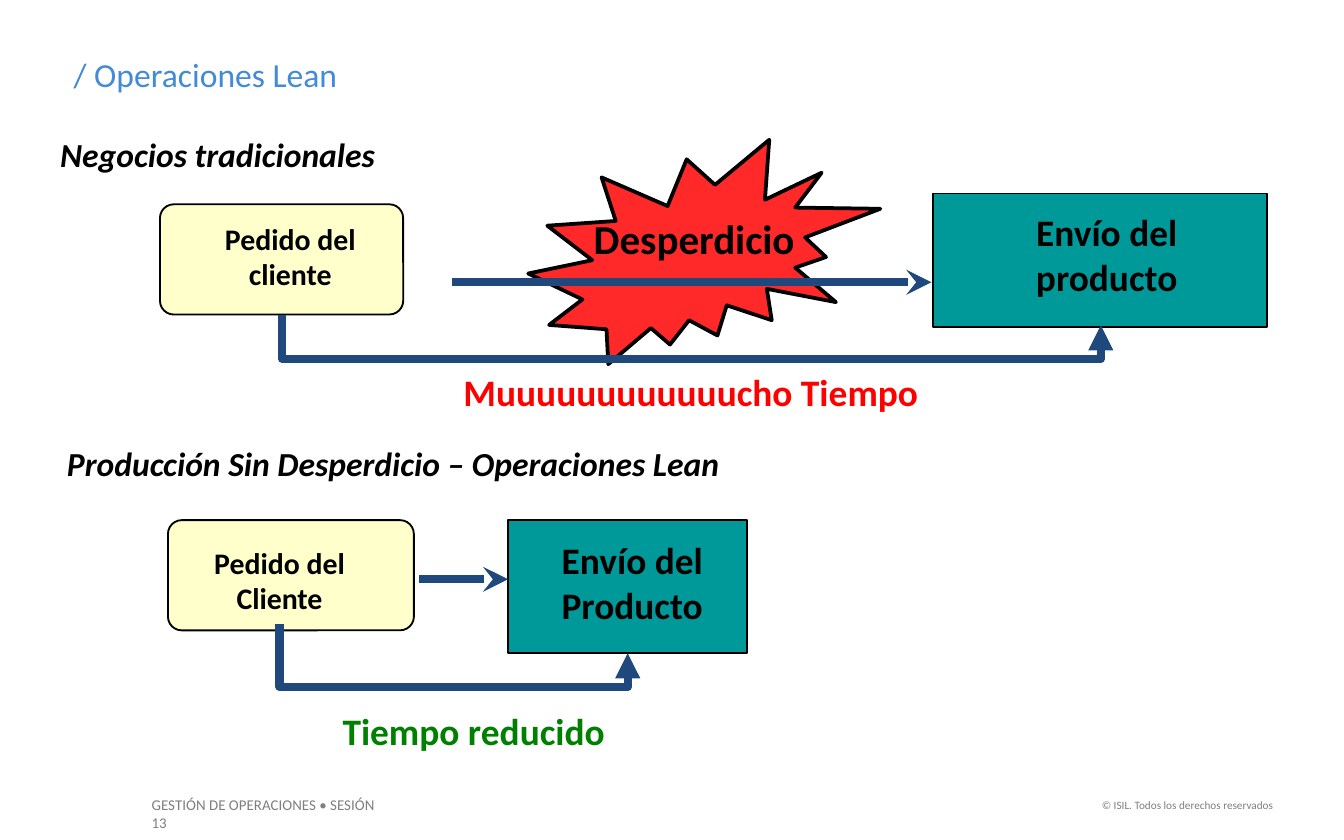
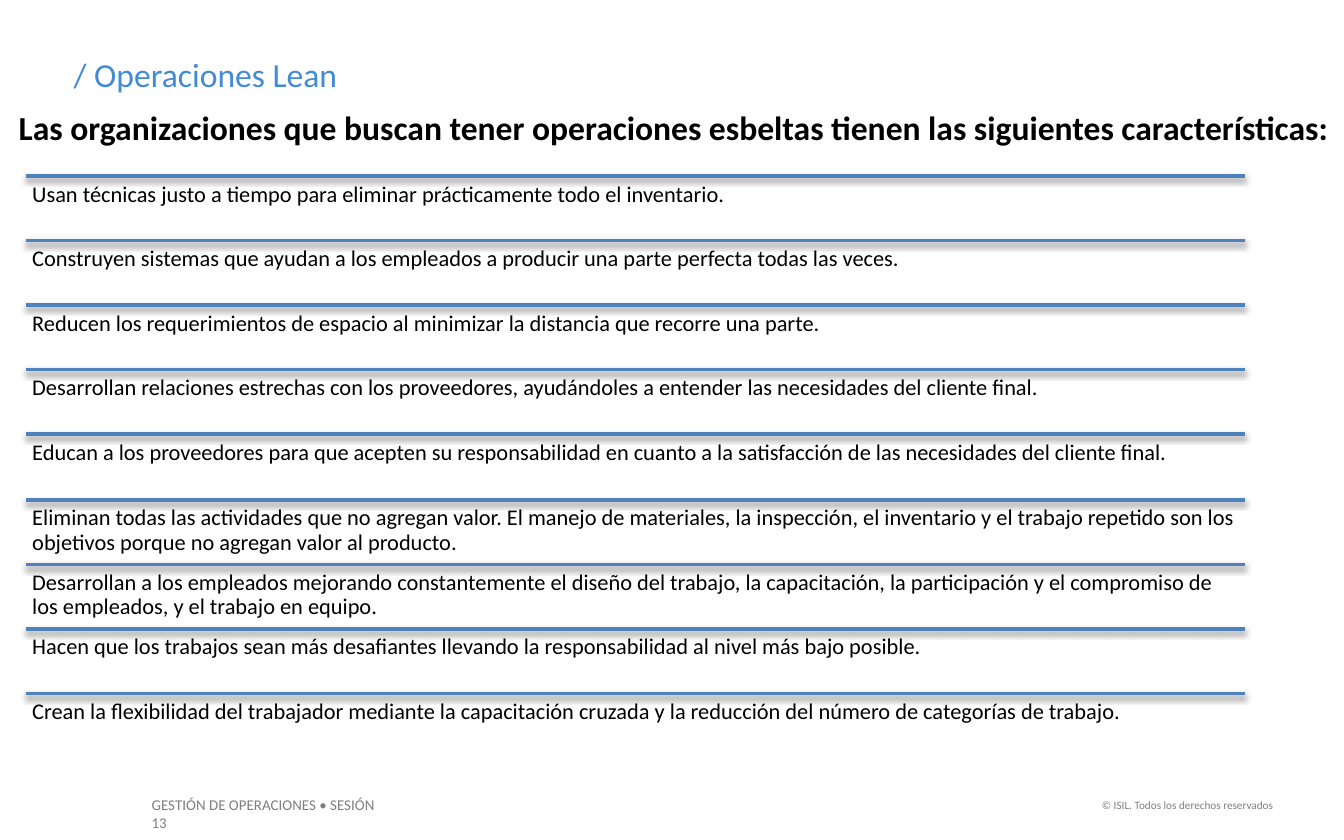
from dataclasses import dataclass

from lxml.etree import SubElement
from pptx import Presentation
from pptx.dml.color import RGBColor
from pptx.enum.shapes import MSO_CONNECTOR, MSO_SHAPE
from pptx.enum.text import MSO_AUTO_SIZE, PP_ALIGN
from pptx.oxml.ns import qn
from pptx.util import Pt

PX = 9144
FONT = "Calibri"
COLORS = {
    "ink": "000000", "title": "438AD7", "footer": "7F7F7F", "arrow": "1F497D",
    "rule": "4F81BD", "order": "FFFFCC", "shipment": "009999",
    "waste": "FF0000", "slow": "FF0000", "fast": "008000",
}
TRAITS = [
    "Usan técnicas justo a tiempo para eliminar prácticamente todo el inventario.",
    "Construyen sistemas que ayudan a los empleados a producir una parte perfecta todas las veces.",
    "Reducen los requerimientos de espacio al minimizar la distancia que recorre una parte.",
    "Desarrollan relaciones estrechas con los proveedores, ayudándoles a entender las "
    "necesidades del cliente final.",
    "Educan a los proveedores para que acepten su responsabilidad en cuanto a la "
    "satisfacción de las necesidades del cliente final.",
    "Eliminan todas las actividades que no agregan valor. El manejo de materiales, la "
    "inspección, el inventario y el trabajo repetido son los objetivos porque no agregan "
    "valor al producto.",
    "Desarrollan a los empleados mejorando constantemente el diseño del trabajo, la "
    "capacitación, la participación y el compromiso de los empleados, y el trabajo en equipo.",
    "Hacen que los trabajos sean más desafiantes llevando la responsabilidad al nivel más "
    "bajo posible.",
    "Crean la flexibilidad del trabajador mediante la capacitación cruzada y la reducción "
    "del número de categorías de trabajo.",
]


@dataclass
class Flow:
    """Wording and places, relative to the region, of one order-to-shipment flow."""
    heading: str
    heading_width: int
    order: list
    order_box: tuple
    order_label: tuple
    shipment: list
    shipment_box: tuple
    shipment_label: tuple
    arrow: tuple
    elbow: tuple
    elbow_drop: int
    time: str
    time_box: tuple
    time_color: str


TRADITIONAL = Flow(
    "Negocios tradicionales", 300,
    ["Pedido del", "cliente"], (84, 57, 181, 82), (90, 64, 182, 63),
    ["Envío del", "producto"], (659, 49, 249, 99), (717, 56, 143, 76),
    (301, 115, 658, 115), (175, 139, 784, 147), 33,
    "Muuuuuuuuuuuucho Tiempo", (300, 175, 361, 43), "slow")
LEAN = Flow(
    "Producción Sin Desperdicio – Operaciones Lean", 549,
    ["Pedido del", "Cliente"], (85, 62, 183, 82), (102, 75, 132, 63),
    ["Envío del", "Producto"], (338, 62, 178, 99), (359, 70, 143, 76),
    (272, 106, 338, 106), (168, 139, 427, 161), 47,
    "Tiempo reducido", (205, 197, 222, 43), "fast")


def emu(*lengths):
    """Turn px into EMU."""
    return [round(length * PX) for length in lengths]


def rgb(name):
    """Look up a named colour."""
    return RGBColor.from_string(COLORS[name])


def shift(box, left, top):
    """Move a box or a pair of points by the origin of its region."""
    return box[0] + left, box[1] + top, box[2], box[3]


def write(slide, lines, box, size, color="ink", bold=False, italic=False, align=None):
    """Add wrapped text with one paragraph for each line."""
    label = slide.shapes.add_textbox(*emu(*box))
    frame = label.text_frame
    frame.word_wrap = True
    frame.auto_size = MSO_AUTO_SIZE.SHAPE_TO_FIT_TEXT
    frame.text = "\n".join(lines)
    for paragraph in frame.paragraphs:
        paragraph.alignment = align
        font = paragraph.font
        font.name, font.size, font.bold, font.italic = FONT, Pt(size), bold, italic
        font.color.rgb = rgb(color)
    return label


def block(slide, preset, box, fill, line_width=1):
    """Add a filled preset shape with a black outline."""
    shape = slide.shapes.add_shape(preset, *emu(*box))
    shape.shadow.inherit = False
    shape.fill.solid()
    shape.fill.fore_color.rgb = rgb(fill)
    shape.line.color.rgb = rgb("ink")
    shape.line.width = Pt(line_width)
    return shape


def connect(slide, kind, ends, color, width, head=None):
    """Add a connector without theme effects and return it with its effect list."""
    connector = slide.shapes.add_connector(kind, *emu(*ends))
    connector.line.color.rgb = rgb(color)
    connector.line.width = Pt(width)
    properties = connector._element.spPr
    if head:
        SubElement(properties.find(qn("a:ln")), qn("a:tailEnd"), type=head)
    return connector, SubElement(properties, qn("a:effectLst"))


def elbow_arrow(slide, ends, drop):
    """Lead an arrow down by drop, across, and up to its end."""
    x1, y1, x2, y2 = ends
    width, height = y2 - y1, x2 - x1
    left, top = (x1 + x2 - width) / 2, (y1 + y2 - height) / 2
    turned = (left, top, left + width, top + height)
    connector, _ = connect(slide, MSO_CONNECTOR.ELBOW, turned, "arrow", 4.5, "triangle")
    properties = connector._element.spPr
    frame = properties.find(qn("a:xfrm"))
    frame.set("rot", "16200000")
    frame.set("flipH", "1")
    adjustments = properties.find(qn("a:prstGeom")).find(qn("a:avLst"))
    SubElement(adjustments, qn("a:gd"), name="adj1",
               fmla=f"val {round(drop / width * 100000)}")


def rule(slide, ends):
    """Add a horizontal rule with a soft shadow below."""
    _, effects = connect(slide, MSO_CONNECTOR.STRAIGHT, ends, "rule", 2)
    shadow = SubElement(effects, qn("a:outerShdw"), blurRad="40000", dist="20000",
                        dir="5400000", rotWithShape="0")
    tint = SubElement(shadow, qn("a:srgbClr"), val=COLORS["ink"])
    SubElement(tint, qn("a:alpha"), val="38000")


def add_slide(deck):
    """Start a slide with the shared footer and title."""
    slide = deck.slides.add_slide(deck.slide_layouts[6])
    write(slide, ["GESTIÓN DE OPERACIONES • SESIÓN 13"], (103, 587, 199, 24), 8, "footer")
    write(slide, ["© ISIL. Todos los derechos reservados"], (803, 589, 154, 20), 6,
          "footer", align=PP_ALIGN.RIGHT)
    write(slide, ["/ Operaciones Lean"], (45, 35, 788, 40), 18, "title")
    return slide


def waste_burst(slide, left, top, width, height):
    """Draw the burst that stands for waste."""
    burst = block(slide, MSO_SHAPE.EXPLOSION2, (left, top, width, height), "waste", 2)
    tint = burst._element.spPr.find(qn("a:solidFill")).find(qn("a:srgbClr"))
    SubElement(tint, qn("a:alpha"), val="84000")
    write(slide, ["Desperdicio"], (left + 20, top + 50, 207, 46), 22, bold=True,
          align=PP_ALIGN.CENTER)


def flow_region(slide, flow, left, top):
    """Draw a flow from the order to the shipment."""
    def place(box):
        return shift(box, left, top)

    def span(ends):
        return (*place(ends)[:2], ends[2] + left, ends[3] + top)

    write(slide, [flow.heading], (left, top, flow.heading_width, 40), 18,
          bold=True, italic=True)
    order = block(slide, MSO_SHAPE.ROUNDED_RECTANGLE, place(flow.order_box), "order")
    order.adjustments[0] = 0.125
    write(slide, flow.order, place(flow.order_label), 16, bold=True, align=PP_ALIGN.CENTER)
    block(slide, MSO_SHAPE.RECTANGLE, place(flow.shipment_box), "shipment")
    shipment = write(slide, flow.shipment, place(flow.shipment_label), 20, bold=True,
                     align=PP_ALIGN.CENTER)
    shipment.fill.solid()
    shipment.fill.fore_color.rgb = rgb("shipment")
    connect(slide, MSO_CONNECTOR.STRAIGHT, span(flow.arrow), "arrow", 4.5, "stealth")
    write(slide, [flow.time], place(flow.time_box), 20, flow.time_color, bold=True)
    elbow_arrow(slide, span(flow.elbow), flow.elbow_drop)


def trait_list(slide, left, top, width, height):
    """Stack the traits in equal rows, each under a rule."""
    pitch = height / len(TRAITS)
    for index, trait in enumerate(TRAITS):
        row_top = round(top + index * pitch)
        rule(slide, (left, row_top, left + width, row_top))
        row = write(slide, [trait], (left, row_top, width, round(pitch)), 12)
        frame = row.text_frame
        frame.auto_size = MSO_AUTO_SIZE.NONE
        frame.margin_left, frame.margin_right = emu(5, 5)
        frame.paragraphs[0].line_spacing = 0.9


def comparison_slide(deck):
    """Compare a traditional business with lean production."""
    slide = add_slide(deck)
    waste_burst(slide, 393, 104, 262, 167)
    flow_region(slide, TRADITIONAL, 35, 95)
    flow_region(slide, LEAN, 40, 325)


def traits_slide(deck):
    """List the traits of lean organisations."""
    slide = add_slide(deck)
    trait_list(slide, 19, 131, 907, 433)
    write(slide, ["Las organizaciones que buscan tener operaciones esbeltas tienen las "
                  "siguientes características:"], (4, 75, 996, 40), 18, bold=True)


def main():
    """Build and save the deck."""
    deck = Presentation()
    deck.slide_width, deck.slide_height = emu(1000, 625)
    comparison_slide(deck)
    traits_slide(deck)
    deck.save("out.pptx")


if __name__ == "__main__":
    main()
